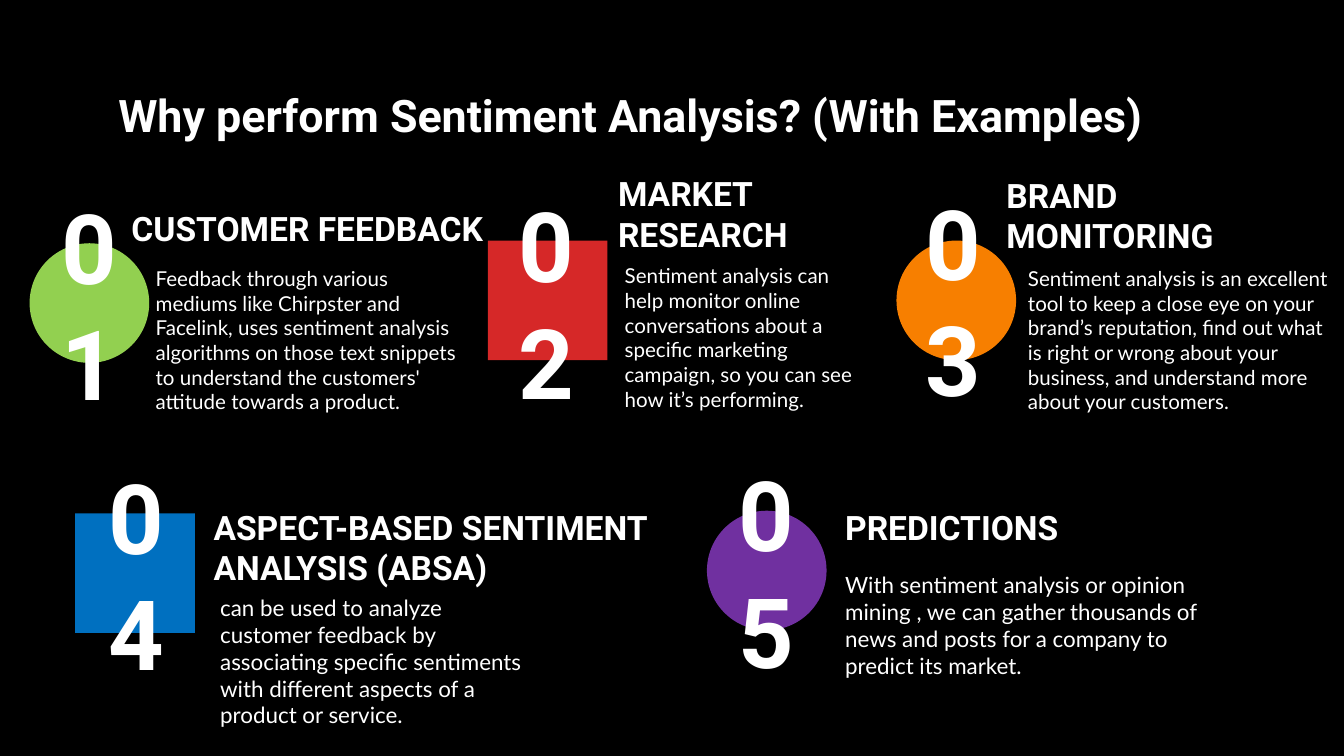
from dataclasses import dataclass

from pptx import Presentation
from pptx.dml.color import RGBColor
from pptx.enum.shapes import MSO_SHAPE
from pptx.enum.text import MSO_ANCHOR, MSO_AUTO_SIZE, PP_ALIGN
from pptx.slide import Slide
from pptx.text.text import TextFrame
from pptx.util import Inches, Pt

CIRCLE, SQUARE = MSO_SHAPE.OVAL, MSO_SHAPE.RECTANGLE
TOP, MIDDLE, BOTTOM = MSO_ANCHOR.TOP, MSO_ANCHOR.MIDDLE, MSO_ANCHOR.BOTTOM
LEFT, CENTER = PP_ALIGN.LEFT, PP_ALIGN.CENTER
NO_AUTOFIT = MSO_AUTO_SIZE.NONE
TITLE_ONLY = 5

Point = tuple[float, float]
Box = tuple[float, float, float, float]


@dataclass(frozen=True)
class Theme:
    background: str = "000000"
    text: str = "FFFFFF"
    green: str = "92D050"
    red: str = "D62828"
    orange: str = "F77F00"
    blue: str = "0070C0"
    purple: str = "7030A0"
    head_font: str = "Roboto"
    body_font: str = "Lato"
    title_size: int = 24
    number_size: int = 52
    heading_size: int = 18
    body_size: int = 12
    small_body_size: int = 11


THEME = Theme()
BADGE_SIZE = (0.89, 0.89)
NUMBER_SIZE = (1.01, 1.06)
INSET = 0.1


@dataclass(frozen=True)
class Reason:
    heading: str
    body: str
    shape: MSO_SHAPE
    color: str
    badge_at: Point
    number_at: Point
    heading_box: Box
    body_box: Box
    body_size: int


REASONS = [
    Reason("CUSTOMER FEEDBACK",
           "Feedback through various mediums like Chirpster and Facelink, uses "
           "sentiment analysis algorithms on those text snippets to understand "
           "the customers' attitude towards a product.",
           CIRCLE, THEME.green, (0.22, 1.81), (0.16, 1.73),
           (0.88, 1.5, 2.83, 0.45), (1.06, 1.88, 2.57, 0.93),
           THEME.small_body_size),
    Reason("MARKET RESEARCH",
           "Sentiment analysis can help monitor online conversations about a "
           "specific marketing campaign, so you can see how it’s performing.",
           SQUARE, THEME.red, (3.63, 1.79), (3.56, 1.72),
           (4.5, 1.51, 2.48, 0.48), (4.55, 1.86, 1.96, 1.25),
           THEME.small_body_size),
    Reason("BRAND MONITORING",
           "Sentiment analysis is an excellent tool to keep a close eye on your "
           "brand’s reputation, find out what is right or wrong about your "
           "business, and understand more about your customers.",
           CIRCLE, THEME.orange, (6.67, 1.79), (6.59, 1.7),
           (7.39, 1.52, 2.58, 0.48), (7.55, 1.88, 2.51, 1.15),
           THEME.small_body_size),
    Reason("ASPECT-BASED SENTIMENT ANALYSIS (ABSA)",
           "can be used to analyze customer feedback by associating specific "
           "sentiments with different aspects of a product or service.",
           SQUARE, THEME.blue, (0.56, 3.82), (0.51, 3.74),
           (1.49, 3.69, 3.51, 0.78), (1.54, 4.32, 2.57, 1.11),
           THEME.body_size),
    Reason("PREDICTIONS",
           "With sentiment analysis or opinion mining , we can gather thousands "
           "of news and posts for a company to predict its market.",
           CIRCLE, THEME.purple, (5.26, 3.8), (5.2, 3.72),
           (6.19, 3.69, 1.84, 0.48), (6.19, 4.15, 2.94, 1.04),
           THEME.body_size),
]


def write(tf: TextFrame, text: str, size: int, font: str, bold: bool,
          anchor: MSO_ANCHOR = TOP, align: PP_ALIGN = LEFT) -> None:
    tf.word_wrap = True
    tf.auto_size = NO_AUTOFIT
    tf.vertical_anchor = anchor
    tf.margin_left = tf.margin_right = Inches(INSET)
    tf.margin_top = tf.margin_bottom = Inches(INSET)
    p = tf.paragraphs[0]
    p.alignment = align
    r = p.add_run()
    r.text = text
    r.font.name = font
    r.font.size = Pt(size)
    r.font.bold = bold
    r.font.color.rgb = RGBColor.from_string(THEME.text)


def add_text_frame(s: Slide, box: Box) -> TextFrame:
    return s.shapes.add_textbox(*map(Inches, box)).text_frame


def add_title(s: Slide, text: str, box: Box) -> None:
    title = s.shapes.title
    title.left, title.top, title.width, title.height = map(Inches, box)
    write(title.text_frame, text, THEME.title_size, THEME.head_font, True)


def add_badge(s: Slide, reason: Reason) -> None:
    sp = s.shapes.add_shape(reason.shape,
                            *map(Inches, reason.badge_at + BADGE_SIZE))
    sp.shadow.inherit = False
    sp.fill.solid()
    sp.fill.fore_color.rgb = RGBColor.from_string(reason.color)
    sp.line.fill.background()


def add_reason(s: Slide, reason: Reason, number: int) -> None:
    add_badge(s, reason)
    write(add_text_frame(s, reason.number_at + NUMBER_SIZE), f"{number:02d}",
          THEME.number_size, THEME.head_font, True, MIDDLE, CENTER)
    write(add_text_frame(s, reason.heading_box), reason.heading,
          THEME.heading_size, THEME.head_font, True, BOTTOM)
    write(add_text_frame(s, reason.body_box), reason.body,
          reason.body_size, THEME.body_font, False)


def main() -> None:
    prs = Presentation()
    prs.slide_width = Inches(10)
    prs.slide_height = prs.slide_width * 9 // 16
    s = prs.slides.add_slide(prs.slide_layouts[TITLE_ONLY])
    s.background.fill.solid()
    s.background.fill.fore_color.rgb = RGBColor.from_string(THEME.background)
    add_title(s, "Why perform Sentiment Analysis? (With Examples)",
              (0.78, 0.55, 8.44, 0.66))
    for number, reason in enumerate(REASONS, start=1):
        add_reason(s, reason, number)
    prs.save("out.pptx")


if __name__ == "__main__":
    main()
